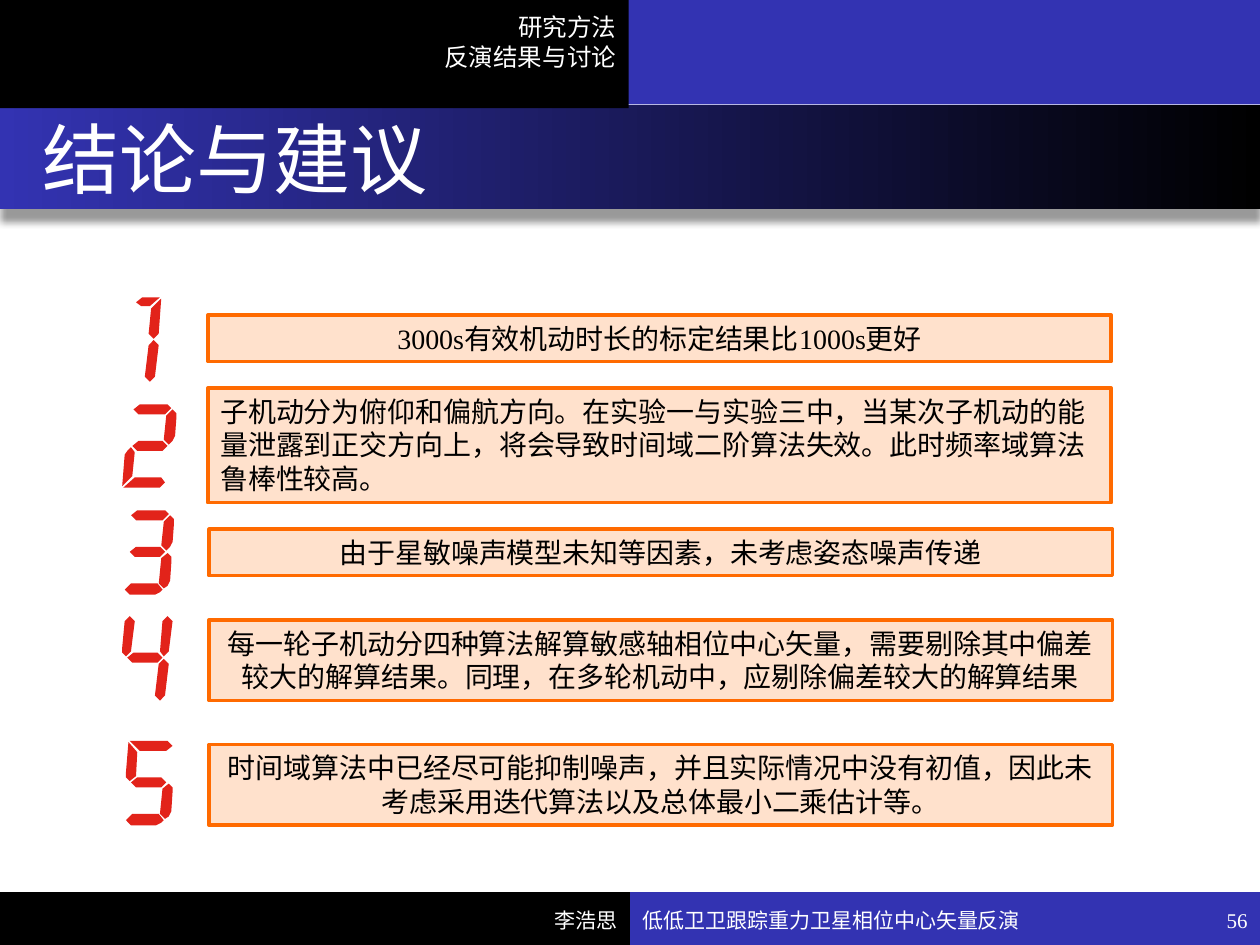
"""Build the conclusions slide with five numbered findings."""
from dataclasses import dataclass

from lxml import etree
from pptx import Presentation
from pptx.dml.color import RGBColor
from pptx.enum.shapes import MSO_SHAPE
from pptx.enum.text import MSO_ANCHOR, PP_ALIGN
from pptx.oxml.ns import qn
from pptx.util import Inches, Pt

RECTANGLE = MSO_SHAPE.RECTANGLE
LEFT, CENTER, RIGHT = PP_ALIGN.LEFT, PP_ALIGN.CENTER, PP_ALIGN.RIGHT
TOP, MIDDLE = MSO_ANCHOR.TOP, MSO_ANCHOR.MIDDLE


@dataclass(frozen=True)
class Theme:
    black: RGBColor = RGBColor.from_string("000000")
    white: RGBColor = RGBColor.from_string("FFFFFF")
    blue: RGBColor = RGBColor.from_string("3333B2")
    peach: RGBColor = RGBColor.from_string("FFE1CC")
    orange: RGBColor = RGBColor.from_string("FF6A00")
    red: RGBColor = RGBColor.from_string("E2231A")
    serif: str = "Times New Roman"
    sans: str = "Arial"
    title: Pt = Pt(44)
    body: Pt = Pt(16)
    outline: Pt = Pt(14)
    footer: Pt = Pt(12)


theme = Theme()
deck = Presentation()
deck.slide_width, deck.slide_height = Inches(10), Inches(7.5)
page = deck.slides.add_slide(deck.slide_layouts[6])


def add_panel(left, top, width, height, color):
    panel = page.shapes.add_shape(
        RECTANGLE, Inches(left), Inches(top), Inches(width), Inches(height))
    panel.shadow.inherit = False
    panel.fill.solid()
    panel.fill.fore_color.rgb = color
    panel.line.fill.background()
    return panel


def write_text(box, text, size, color, align, anchor, font=theme.serif):
    frame = box.text_frame
    frame.word_wrap = True
    frame.vertical_anchor = anchor
    frame.text = text
    for para in frame.paragraphs:
        para.alignment = align
        for span in para.runs:
            span.font.size = size
            span.font.name = font
            span.font.color.rgb = color


add_panel(5, 7.08, 5, 0.42, theme.blue)
add_panel(0, 7.08, 5, 0.42, theme.black)
title_band = add_panel(0, 0.83, 10, 0.83, theme.blue)
title_band.fill.gradient()
title_band.fill.gradient_angle = 180
for stop, position, color in zip(
        title_band.fill.gradient_stops, (0, 1), (theme.black, theme.blue)):
    stop.position = position
    stop.color.rgb = color
effects = title_band._element.spPr.find(qn("a:effectLst"))
shadow = etree.SubElement(
    effects, qn("a:outerShdw"), blurRad=str(Pt(4)), dist=str(Pt(7)),
    dir="5400000", algn="t", rotWithShape="0")
shadow_color = etree.SubElement(shadow, qn("a:srgbClr"), val=str(theme.black))
etree.SubElement(shadow_color, qn("a:alpha"), val="40000")
add_panel(4.92, 0, 5.08, 0.83, theme.blue)
add_panel(0, 0, 4.99, 0.86, theme.black)

labels = [
    (2.32, 0.05, 2.67, 0.57, "研究方法\n反演结果与讨论", theme.outline, RIGHT, TOP, theme.sans),
    (0.04, 0.85, 9.85, 0.81, "结论与建议", theme.title, LEFT, MIDDLE, theme.serif),
    (1.17, 7.1, 3.83, 0.4, "李浩思", theme.footer, RIGHT, MIDDLE, theme.serif),
    (5, 7.1, 3.83, 0.4, "低低卫卫跟踪重力卫星相位中心矢量反演",
     theme.footer, LEFT, MIDDLE, theme.serif),
    (8.83, 7.1, 1.17, 0.4, "56", theme.footer, RIGHT, MIDDLE, theme.serif),
]
for left, top, width, height, text, size, align, anchor, font in labels:
    box = page.shapes.add_textbox(Inches(left), Inches(top), Inches(width), Inches(height))
    write_text(box, text, size, theme.white, align, anchor, font)
    if size == theme.title:
        box.text_frame.margin_left = Inches(0.3)

findings = [
    (1.65, 2.5, 0.37, CENTER, "3000s有效机动时长的标定结果比1000s更好"),
    (1.65, 3.08, 0.91, LEFT,
     "子机动分为俯仰和偏航方向。在实验一与实验三中，当某次子机动的能量泄露到正交方向上，"
     "将会导致时间域二阶算法失效。此时频率域算法鲁棒性较高。"),
    (1.66, 4.2, 0.37, CENTER, "由于星敏噪声模型未知等因素，未考虑姿态噪声传递"),
    (1.66, 4.92, 0.64, CENTER,
     "每一轮子机动分四种算法解算敏感轴相位中心矢量，需要剔除其中偏差较大的解算结果。"
     "同理，在多轮机动中，应剔除偏差较大的解算结果"),
    (1.66, 5.91, 0.64, CENTER,
     "时间域算法中已经尽可能抑制噪声，并且实际情况中没有初值，"
     "因此未考虑采用迭代算法以及总体最小二乘估计等。"),
]
for left, top, height, align, text in findings:
    box = add_panel(left, top, 7.17, height, theme.peach)
    box.line.color.rgb = theme.orange
    box.line.width = Pt(2)
    write_text(box, text, theme.body, theme.black, align, TOP)

segments = {
    "top": [(.13, .08), (.09, .04), (.14, 0), (.36, 0), (.39, .03), (.34, .08)],
    "top short": [(.27, .07), (.23, .04), (.28, 0), (.42, 0), (.34, .07)],
    "top corner": [(.15, .08), (.07, 0), (.37, 0), (.41, .04), (.36, .08)],
    "upper right": [(.35, .09), (.4, .04), (.43, .07), (.43, .11), (.42, .25),
                    (.4, .29), (.37, .32), (.33, .28)],
    "upper right corner": [(.35, .09), (.43, .01), (.41, .29), (.37, .33), (.33, .29)],
    "upper right free": [(.41, .28), (.37, .32), (.34, .28), (.36, .04), (.4, 0), (.44, .04)],
    "upper left free": [(.11, .28), (.07, .32), (.04, .29), (.04, .25), (.06, .04),
                        (.1, 0), (.14, .04)],
    "upper left corner": [(.12, .28), (.07, .32), (.04, .29), (.04, .25), (.06, .01),
                          (.13, .09)],
    "middle": [(.12, .37), (.08, .33), (.13, .29), (.32, .29), (.36, .33), (.32, .37)],
    "lower left": [(.08, .57), (0, .65), (.02, .4), (.04, .37), (.07, .34), (.1, .38)],
    "lower right": [(.33, .38), (.38, .34), (.41, .37), (.41, .41), (.4, .56),
                    (.38, .6), (.35, .62), (.31, .58)],
    "lower right free": [(.38, .63), (.34, .67), (.3, .63), (.33, .38), (.37, .34), (.41, .38)],
    "bottom": [(.3, .58), (.34, .63), (.32, .65), (.28, .67), (.08, .67), (.04, .63), (.09, .58)],
    "bottom corner": [(.31, .58), (.34, .62), (.3, .66), (.01, .66), (.1, .58)],
}
digits = [
    (0.85, 2.36, ["top short", "upper right corner", "lower right free"]),
    (0.97, 3.21, ["top", "upper right", "middle", "lower left", "bottom corner"]),
    (0.95, 4.05, ["top", "upper right", "middle", "lower right", "bottom"]),
    (0.93, 4.89, ["upper left free", "upper right free", "middle", "lower right free"]),
    (0.96, 5.88, ["top corner", "upper left corner", "middle", "lower right", "bottom"]),
]
for left, top, names in digits:
    outlines = [[(Inches(left + x), Inches(top + y)) for x, y in segments[name]]
                for name in names]
    builder = page.shapes.build_freeform(*outlines[0][0])
    for outline in outlines:
        builder.move_to(*outline[0])
        builder.add_line_segments(outline[1:], close=True)
    digit = builder.convert_to_shape()
    digit.shadow.inherit = False
    digit.fill.solid()
    digit.fill.fore_color.rgb = theme.red
    digit.line.fill.background()

deck.save("out.pptx")
